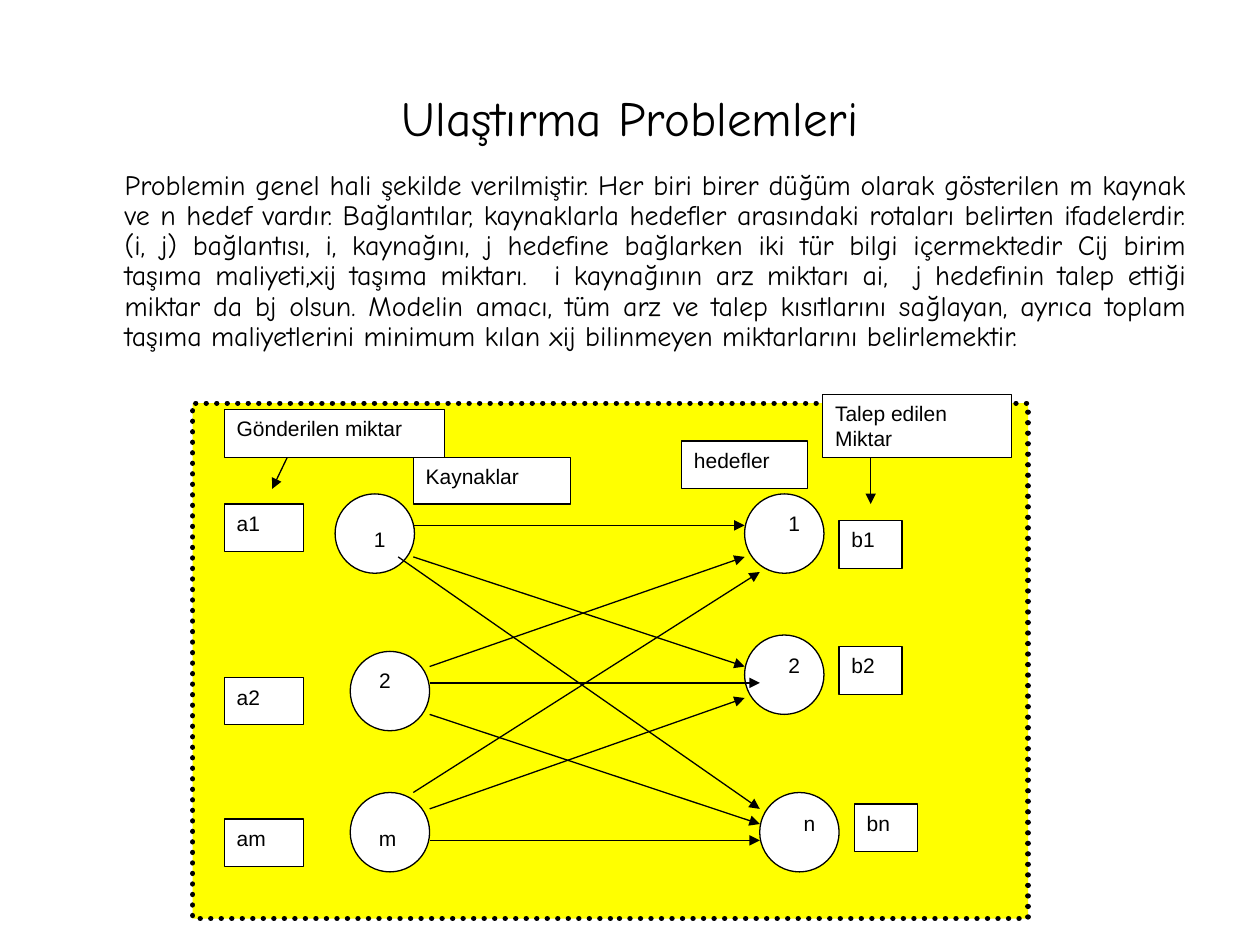
from dataclasses import dataclass

from lxml import etree
from pptx import Presentation
from pptx.dml.color import RGBColor
from pptx.enum import dml, shapes, text
from pptx.oxml import ns
from pptx.util import Inches, Pt


@dataclass(frozen=True)
class Theme:
    """Colours, fonts and sizes of the slide."""
    ink: RGBColor = RGBColor(0, 0, 0)
    paper: RGBColor = RGBColor(255, 255, 255)
    panel: RGBColor = RGBColor(255, 255, 0)
    heading_font: str = "Comic Neue"
    label_font: str = "Arial"
    title: float = 28
    body: float = 16
    label: float = 12
    line: float = 0.75
    border: float = 3


THEME = Theme()
NODE = 0.63

TITLE = "Ulaştırma Problemleri"
BODY = (
    "Problemin genel hali şekilde verilmiştir. Her biri birer düğüm olarak "
    "gösterilen m kaynak ve n hedef vardır. Bağlantılar, kaynaklarla hedefler "
    "arasındaki rotaları belirten ifadelerdir. (i, j) bağlantısı, i, kaynağını, "
    "j hedefine bağlarken iki tür bilgi içermektedir Cij birim taşıma "
    "maliyeti,xij taşıma miktarı.  i kaynağının arz miktarı ai,  j hedefinin "
    "talep ettiği miktar da bj olsun. Modelin amacı, tüm arz ve talep "
    "kısıtlarını sağlayan, ayrıca toplam taşıma maliyetlerini minimum kılan "
    "xij bilinmeyen miktarlarını belirlemektir."
)

NODES = [(2.66, 3.92), (2.78, 5.17), (2.78, 6.29),
         (6.03, 6.29), (5.91, 5.04), (5.91, 3.92)]

ARROWS = [
    (3.28, 4.17, 5.91, 4.17), (3.41, 5.42, 6.03, 5.42),
    (3.41, 6.67, 6.03, 6.67), (3.28, 4.42, 5.91, 5.29),
    (3.41, 5.67, 6.03, 6.54), (3.41, 6.42, 5.91, 5.54),
    (3.41, 5.29, 5.91, 4.42), (3.16, 4.42, 6.03, 6.42),
    (3.28, 6.29, 6.03, 4.54), (2.28, 3.63, 2.16, 3.88),
    (6.91, 3.63, 6.91, 4),
]

BOXES = [
    ("hedefler", 5.41, 3.5, 1, 0.38),
    ("b1", 6.66, 4.13, 0.5, 0.38),
    ("b2", 6.66, 5.13, 0.5, 0.38),
    ("bn", 6.78, 6.38, 0.5, 0.38),
    ("a1", 1.78, 4, 0.63, 0.38),
    ("a2", 1.78, 5.38, 0.63, 0.37),
    ("am", 1.78, 6.5, 0.63, 0.38),
    ("Gönderilen miktar", 1.78, 3.25, 1.75, 0.38),
    ("Kaynaklar", 3.28, 3.63, 1.25, 0.37),
    ("Talep edilen\nMiktar", 6.53, 3.13, 1.5, 0.5),
]

NODE_LABELS = [
    ("1", 6.16, 4, 0.34, 0.5),
    ("2", 6.16, 5.13, 0.34, 0.5),
    ("n", 6.28, 6.38, 0.25, 0.5),
    ("1", 2.87, 4.13, 0.24, 0.33),
    ("2", 2.91, 5.25, 0.25, 0.38),
    ("m", 2.91, 6.5, 0.37, 0.38),
]


def write(sp, words, font, size, align=text.PP_ALIGN.LEFT,
          anchor=text.MSO_ANCHOR.TOP):
    """Put formatted words in a shape and return its text frame."""
    tf = sp.text_frame
    tf.text = words
    tf.word_wrap = True
    tf.vertical_anchor = anchor
    for p in tf.paragraphs:
        p.alignment = align
        for r in p.runs:
            r.font.name = font
            r.font.size = Pt(size)
            r.font.color.rgb = THEME.ink
    return tf


def add_text(s, words, box, *style):
    """Add a text box and return its text frame."""
    return write(s.shapes.add_textbox(*map(Inches, box)), words, *style)


def add_outlined(s, kind, box, fill=THEME.paper, width=THEME.line):
    """Add a filled preset shape with a black outline."""
    sp = s.shapes.add_shape(kind, *map(Inches, box))
    sp.shadow.inherit = False
    sp.fill.solid()
    sp.fill.fore_color.rgb = fill
    sp.line.color.rgb = THEME.ink
    sp.line.width = Pt(width)
    return sp


def add_panel(s):
    """Add the yellow panel with its dotted border."""
    sp = add_outlined(s, shapes.MSO_SHAPE.RECTANGLE, (1.53, 3.2, 6.63, 4.09),
                      THEME.panel, THEME.border)
    sp.line.dash_style = dml.MSO_LINE.ROUND_DOT
    sp.element.spPr.find(ns.qn("a:ln")).set("cap", "rnd")


def add_arrow(s, ends):
    """Add a straight line with an arrowhead at its end."""
    c = s.shapes.add_connector(shapes.MSO_CONNECTOR.STRAIGHT,
                               *map(Inches, ends))
    c.line.color.rgb = THEME.ink
    c.line.width = Pt(THEME.line)
    pr = c.element.spPr
    etree.SubElement(pr.find(ns.qn("a:ln")), ns.qn("a:tailEnd"),
                     type="triangle")
    etree.SubElement(pr, ns.qn("a:effectLst"))


def main():
    """Build and save the slide."""
    prs = Presentation()
    prs.slide_width, prs.slide_height = Inches(10), Inches(7.5)
    s = prs.slides.add_slide(prs.slide_layouts[6])

    add_text(s, TITLE, (0.5, 0.3, 9, 1.25), THEME.heading_font, THEME.title,
             text.PP_ALIGN.CENTER, text.MSO_ANCHOR.MIDDLE)
    tf = add_text(s, BODY, (0.51, 1.31, 9, 2), THEME.heading_font, THEME.body,
                  text.PP_ALIGN.JUSTIFY)
    tf.margin_left = Inches(0.48)
    tf.paragraphs[0].line_spacing = 0.9
    tf.paragraphs[0].space_before = Pt(4)

    add_panel(s)
    for x, y in NODES:
        add_outlined(s, shapes.MSO_SHAPE.OVAL, (x, y, NODE, NODE))
    for ends in ARROWS:
        add_arrow(s, ends)
    for words, *box in BOXES:
        sp = add_outlined(s, shapes.MSO_SHAPE.RECTANGLE, box)
        write(sp, words, THEME.label_font, THEME.label)
    for words, *box in NODE_LABELS:
        add_text(s, words, box, THEME.label_font, THEME.label)

    prs.save("out.pptx")


if __name__ == "__main__":
    main()
